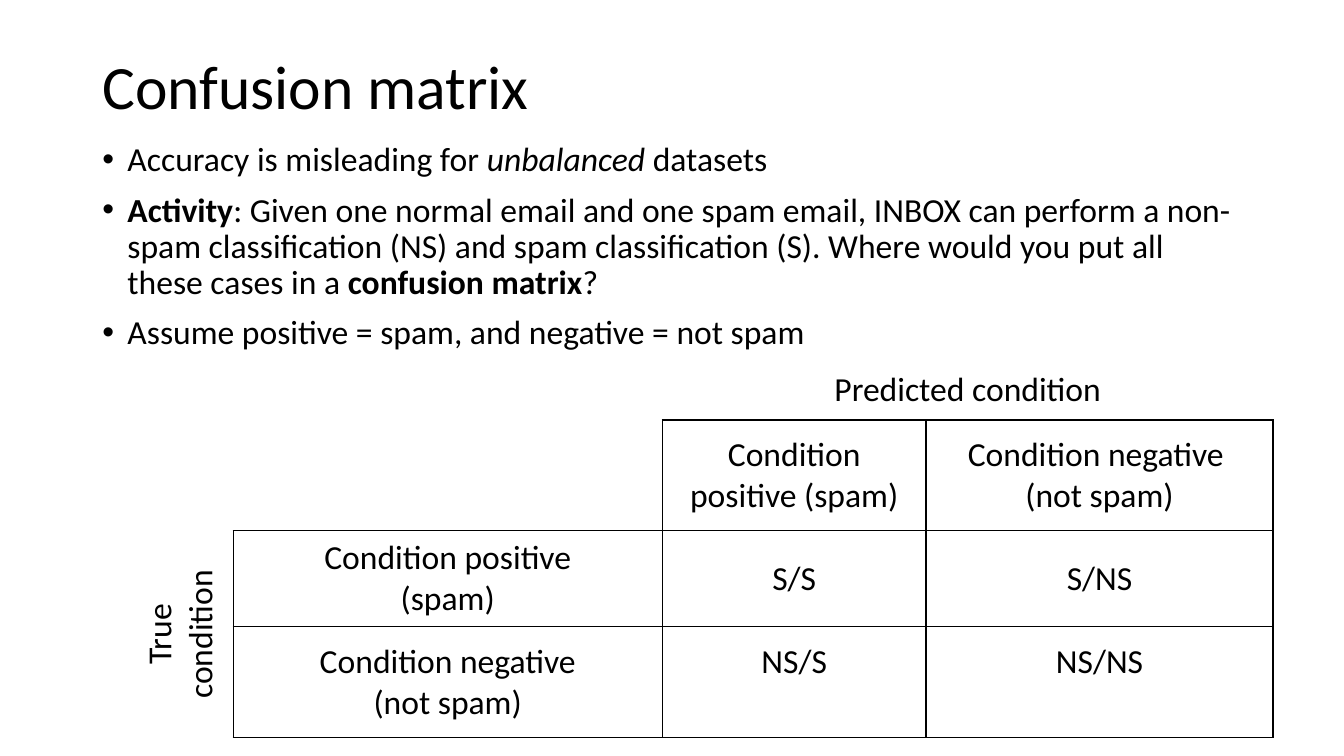
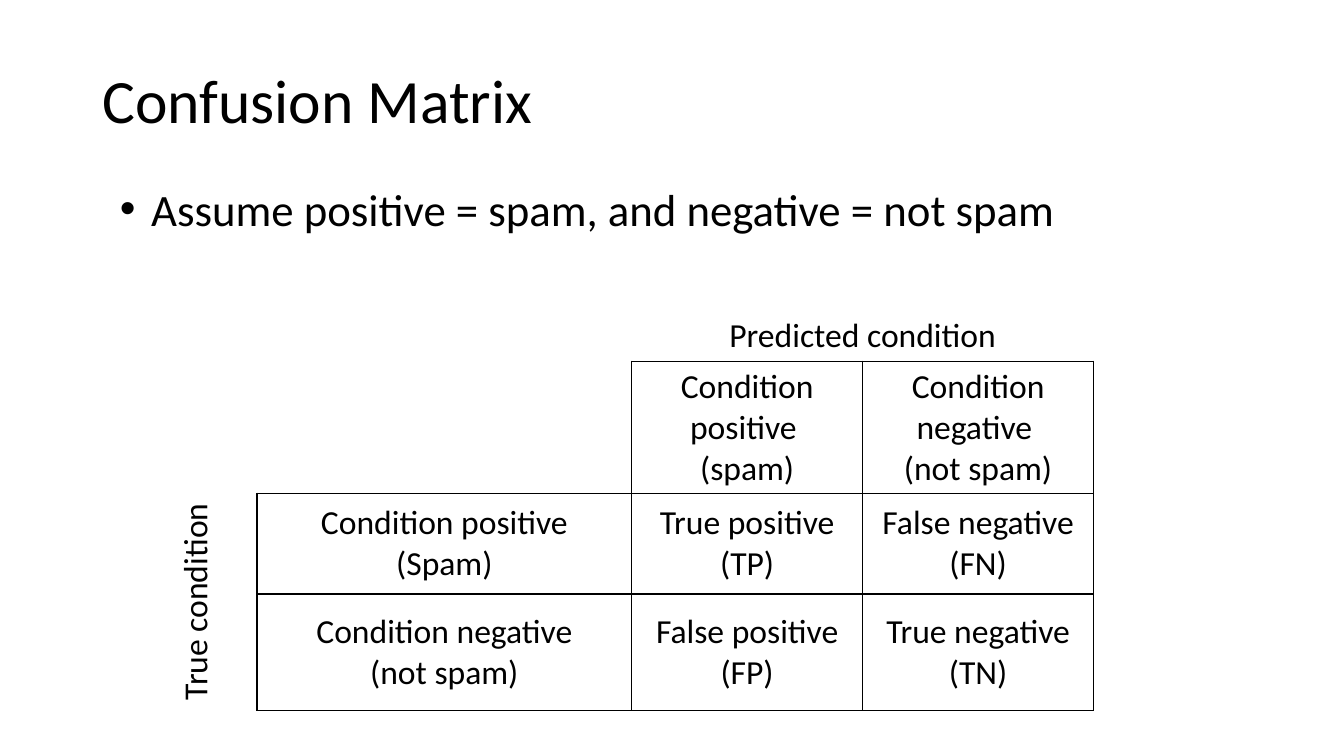
import dataclasses

import pptx
import pptx.dml.color
import pptx.enum.text
import pptx.oxml.ns
import pptx.util
from lxml import etree

COLUMNS, ROWS = 160, 90
UNIT = pptx.util.Inches(1 / 12)

ANCHOR = pptx.enum.text.MSO_ANCHOR
ALIGN = pptx.enum.text.PP_ALIGN


@dataclasses.dataclass(frozen=True)
class Theme:
    font: str = "Calibri"
    ink: str = "000000"
    title_size: int = 44
    large_size: int = 32
    text_size: int = 24
    border_width: int = 1
    tight: float = 0.9


def grid(count):
    return pptx.util.Emu(round(count * UNIT))


def add_xml(parent, tag, **attributes):
    return etree.SubElement(parent, pptx.oxml.ns.qn(tag), attributes)


def write(frame, paragraphs, theme, *, size, align=ALIGN.LEFT, spacing=1.0,
          before=0, bullet_indent=0):
    """Fill a frame; a paragraph is a string or a list of (text, style) runs."""
    for index, runs in enumerate(paragraphs):
        paragraph = frame.add_paragraph() if index else frame.paragraphs[0]
        paragraph.alignment = align
        paragraph.line_spacing = spacing
        paragraph.space_before = pptx.util.Pt(before)
        if bullet_indent:
            indent = pptx.util.Inches(bullet_indent)
            properties = paragraph._p.get_or_add_pPr()
            properties.set("marL", str(indent))
            properties.set("indent", str(-indent))
            add_xml(properties, "a:buFont", typeface="Arial")
            add_xml(properties, "a:buChar", char="•")
        for text, style in [(runs, "")] if isinstance(runs, str) else runs:
            run = paragraph.add_run()
            run.text = text
            run.font.name = theme.font
            run.font.size = pptx.util.Pt(size)
            run.font.bold = style == "bold"
            run.font.italic = style == "italic"
            run.font.color.rgb = pptx.dml.color.RGBColor.from_string(theme.ink)


def is_framed(row, column):
    """Tell whether a matrix cell has a box: headings and results, not axes."""
    in_table = row < 4 and column < 4
    return in_table and row >= 1 and column >= 1 and row + column >= 3


class Deck:
    def __init__(self, theme):
        self.theme = theme
        self.presentation = pptx.Presentation()
        self.presentation.slide_width = grid(COLUMNS)
        self.presentation.slide_height = grid(ROWS)
        self.slide = None

    def new_slide(self, title, title_height):
        blank = self.presentation.slide_layouts[6]
        self.slide = self.presentation.slides.add_slide(blank)
        self.text((11, 4.8, 138, title_height), [title], anchor=ANCHOR.MIDDLE,
                  size=self.theme.title_size, spacing=self.theme.tight)

    def text(self, place, paragraphs, *, anchor=ANCHOR.TOP, **style):
        frame = self.slide.shapes.add_textbox(*map(grid, place)).text_frame
        frame.word_wrap = True
        frame.vertical_anchor = anchor
        write(frame, paragraphs, self.theme, **style)

    def matrix(self, left, top, widths, heights, headings, rows, last_row_lift=0):
        """Draw the confusion matrix; rows hold a label and two results."""
        table = self.slide.shapes.add_table(
            len(heights), len(widths), grid(left), grid(top),
            grid(sum(widths)), grid(sum(heights))).table
        table.first_row = table.horz_banding = False
        for column, width in zip(table.columns, widths):
            column.width = grid(width)
        for row, height in zip(table.rows, heights):
            row.height = grid(height)

        contents = [
            [[], [], ["Predicted condition"], []],
            [[], [], *headings],
            [["True condition"], *rows[0]],
            [[], *rows[1]],
        ]
        for row, line in enumerate(contents):
            for column, paragraphs in enumerate(line):
                cell = table.cell(row, column)
                cell.vertical_anchor = ANCHOR.MIDDLE
                cell.fill.background()
                self.borders(cell, row, column)
                write(cell.text_frame, paragraphs, self.theme,
                      size=self.theme.text_size, align=ALIGN.CENTER)
        for column in (2, 3):
            table.cell(3, column).margin_bottom = pptx.util.Inches(0.05 + last_row_lift)
        table.cell(0, 2).merge(table.cell(0, 3))
        table.cell(2, 0).merge(table.cell(3, 0))
        table.cell(2, 0)._tc.get_or_add_tcPr().set("vert", "vert270")

    def borders(self, cell, row, column):
        """Line each edge that touches a framed cell, and clear the others."""
        properties = cell._tc.get_or_add_tcPr()
        neighbours = {"L": (row, column - 1), "R": (row, column + 1),
                      "T": (row - 1, column), "B": (row + 1, column)}
        for index, (side, neighbour) in enumerate(neighbours.items()):
            width = str(pptx.util.Pt(self.theme.border_width))
            edge = add_xml(properties, f"a:ln{side}", w=width)
            properties.insert(index, edge)
            if is_framed(row, column) or is_framed(*neighbour):
                add_xml(add_xml(edge, "a:solidFill"), "a:srgbClr", val=self.theme.ink)
            else:
                add_xml(edge, "a:noFill")


def main():
    theme = Theme()
    deck = Deck(theme)
    assumption = "Assume positive = spam, and negative = not spam"
    negative = ["Condition negative", "(not spam)"]
    negative_heading = ["Condition negative ", "(not spam)"]

    deck.new_slide("Confusion matrix", 11.6)
    deck.text((11, 16.4, 138, 27), [
        [("Accuracy is misleading for ", ""), ("unbalanced", "italic"),
         (" datasets", "")],
        [("Activity", "bold"),
         (": Given one normal email and one spam email, INBOX can perform a "
          "non-spam classification (NS) and spam classification (S). Where "
          "would you put all these cases in a ", ""),
         ("confusion matrix", "bold"), ("?", "")],
        assumption,
    ], size=theme.text_size, spacing=theme.tight, before=10, bullet_indent=0.25)
    deck.matrix(
        16, 42.8, [11.75, 51.1, 31.4, 41.3], [7.2, 13.2, 11.4, 13.2],
        [["Condition positive (spam)"], negative_heading],
        [[["Condition positive", "(spam)"], ["S/S"], ["S/NS"]],
         [negative, ["NS/S"], ["NS/NS"]]],
        last_row_lift=0.4)

    deck.new_slide("Confusion Matrix", 15.1)
    deck.matrix(
        20.3, 37, [10.3, 44.6, 27.5, 27.5], [6, 15.7, 12, 13.9],
        [["Condition positive ", "(spam)"], negative_heading],
        [[["Condition positive", "(Spam)"],
          ["True positive (TP)"], ["False negative (FN)"]],
         [negative, ["False positive (FP)"], ["True negative (TN)"]]])
    deck.text((13.1, 21, 138, 11.3), [assumption], size=theme.large_size,
              bullet_indent=0.31)

    deck.presentation.save("out.pptx")


if __name__ == "__main__":
    main()
